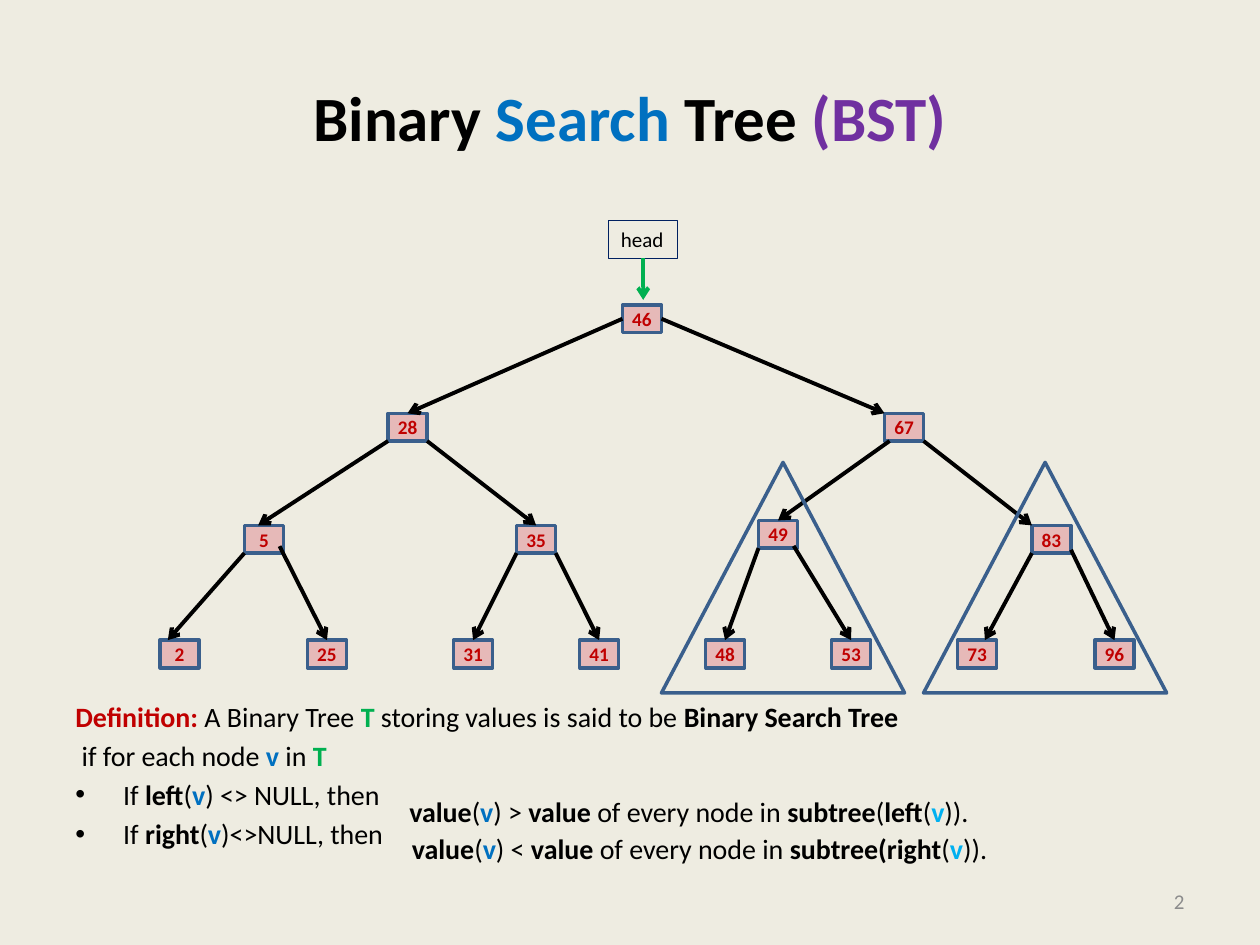
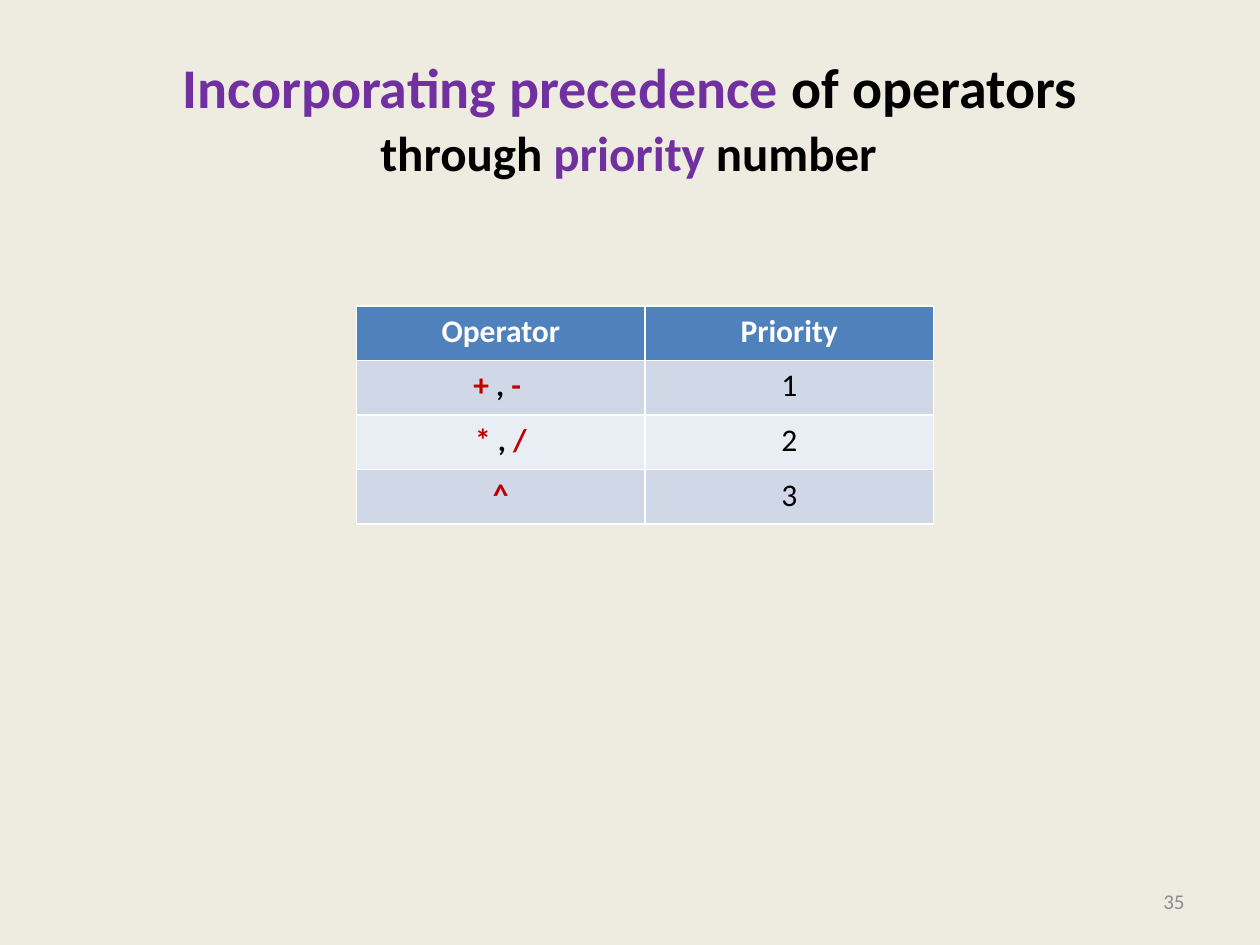
from dataclasses import dataclass

from lxml import etree
from pptx import Presentation
from pptx import util as u
from pptx.dml.color import RGBColor
from pptx.enum import shapes, text
from pptx.oxml.ns import qn


@dataclass(frozen=True)
class Theme:
    font: str = "Calibri"
    paper: str = "EEECE1"
    ink: str = "000000"
    white: str = "FFFFFF"
    red: str = "C00000"
    green: str = "00B050"
    blue: str = "0070C0"
    sky: str = "00B0F0"
    purple: str = "7030A0"
    navy: str = "002060"
    grey: str = "8C8C8C"
    node_fill: str = "E6B9B8"
    outline: str = "3A5F8C"
    header: str = "4F81BD"
    bands: tuple = ("D0D8E8", "E9EDF4")
    title: int = 36
    long_title: int = 32
    subtitle: int = 28
    table: int = 18
    body: int = 16
    small: int = 12
    node: int = 11


THEME = Theme()
COLUMNS, ROWS = 100, 75  # square grid cells, a tenth of an inch each
LAYOUT_TITLE_ONLY = 5
NODE_WIDTH, NODE_HEIGHT = 3.1, 2.2

# value: column and row of the node's top left corner
NODES = {
    46: (49.4, 24.2),
    28: (30.8, 32.8), 67: (70.2, 32.8),
    5: (19.4, 41.7), 35: (41, 41.7), 49: (60.2, 41.3), 83: (81.9, 41.7),
    2: (12.7, 50.8), 25: (24.4, 50.8), 31: (36, 50.8), 41: (46, 50.8),
    48: (56, 50.8), 53: (66, 50.8), 73: (76, 50.8), 96: (86.9, 50.8),
}
LEFT, RIGHT, MIDDLE = (0, 1), (1, 1), 0.5
# parent, child, start as shares of the parent's box, end as share of the child's top side
EDGES = [
    (46, 28, (0, 0.5), MIDDLE), (46, 67, (1, 0.5), 0),
    (28, 5, LEFT, 0.35), (28, 35, RIGHT, MIDDLE),
    (67, 49, (0.13, 1), MIDDLE), (67, 83, RIGHT, 0),
    (5, 2, LEFT, 0.2), (5, 25, (0.9, 0.75), MIDDLE),
    (35, 31, LEFT, MIDDLE), (35, 41, RIGHT, MIDDLE),
    (49, 48, LEFT, MIDDLE), (49, 53, (0.9, 0.92), MIDDLE),
    (83, 73, LEFT, 0.7), (83, 96, (1, 0.88), MIDDLE),
]


def cells(*counts):
    return [u.Inches(count / 10) for count in counts]


def rgb(colour):
    return RGBColor.from_string(colour)


def plain(words, colour=THEME.ink):
    return words, colour, False


def bold(words, colour=THEME.ink):
    return words, colour, True


def write(para, spans, size):
    for words, colour, heavy in spans:
        span = para.add_run()
        span.text = words
        span.font.name = THEME.font
        span.font.size = u.Pt(size)
        span.font.bold = heavy
        span.font.color.rgb = rgb(colour)


def add_page(deck, number, title_spans, size, drop=None):
    """Add a titled, numbered slide; drop hangs the title from the top of its box."""
    page = deck.slides.add_slide(deck.slide_layouts[LAYOUT_TITLE_ONLY])
    title = page.shapes.title
    title.left, title.top, title.width, title.height = cells(5, 3, 90, 12.5)
    frame = title.text_frame
    frame.auto_size = text.MSO_AUTO_SIZE.NONE
    frame.vertical_anchor = text.MSO_ANCHOR.MIDDLE
    if drop is not None:
        frame.vertical_anchor = text.MSO_ANCHOR.TOP
        frame.margin_top, = cells(drop)
    frame.paragraphs[0].alignment = text.PP_ALIGN.CENTER
    write(frame.paragraphs[0], title_spans, size)

    footer = add_text(page, (71.7, 69.5, 23.3, 4), [plain(str(number), THEME.grey)], THEME.small)
    footer.text_frame.vertical_anchor = text.MSO_ANCHOR.MIDDLE
    footer.text_frame.paragraphs[0].alignment = text.PP_ALIGN.RIGHT
    return page


def add_text(page, place, spans, size, wrap=True):
    box = page.shapes.add_textbox(*cells(*place))
    box.text_frame.word_wrap = wrap
    write(box.text_frame.paragraphs[0], spans, size)
    return box


def add_outlined(page, kind, place, colour, width, fill=None):
    shape = page.shapes.add_shape(kind, *cells(*place))
    shape.shadow.inherit = False
    shape.line.color.rgb = rgb(colour)
    shape.line.width = u.Pt(width)
    if fill:
        shape.fill.solid()
        shape.fill.fore_color.rgb = rgb(fill)
    else:
        shape.fill.background()
    return shape


def add_arrow(page, start, end, colour):
    """Draw an arrow between two (x, y) points given in EMU."""
    arrow = page.shapes.add_connector(shapes.MSO_CONNECTOR.STRAIGHT, *start, *end)
    arrow.line.color.rgb = rgb(colour)
    arrow.line.width = u.Pt(2.25)
    etree.SubElement(arrow.line._get_or_add_ln(), qn("a:tailEnd"), type="arrow")
    etree.SubElement(arrow._element.spPr, qn("a:effectLst"))
    return arrow


def add_node(page, value, column, row):
    box = add_outlined(page, shapes.MSO_SHAPE.RECTANGLE,
                       (column, row, NODE_WIDTH, NODE_HEIGHT),
                       THEME.outline, 2, THEME.node_fill)
    frame = box.text_frame
    frame.margin_left = frame.margin_right = frame.margin_top = frame.margin_bottom = 0
    frame.word_wrap = False
    frame.paragraphs[0].alignment = text.PP_ALIGN.CENTER
    write(frame.paragraphs[0], [bold(str(value), THEME.red)], THEME.node)
    return box


def point_on(box, across, down):
    return round(box.left + across * box.width), round(box.top + down * box.height)


def add_edge(page, parent, child, leave, land):
    arrow = add_arrow(page, point_on(parent, *leave), point_on(child, land, 0), THEME.ink)
    if leave[1] == 0.5:
        arrow.begin_connect(parent, 1 if leave[0] == 0 else 3)
    if land == MIDDLE:
        arrow.end_connect(child, 0)


def add_head(page):
    head = add_outlined(page, shapes.MSO_SHAPE.RECTANGLE, (48.3, 17.5, 5.5, 3), THEME.navy, 0.75)
    para = head.text_frame.paragraphs[0]
    para.alignment = text.PP_ALIGN.LEFT
    write(para, [plain("head")], THEME.small)
    start = point_on(head, 0.5, 1)
    arrow = add_arrow(page, start, (start[0], cells(23.8)[0]), THEME.green)
    arrow.begin_connect(head, 2)


def add_tree(page):
    boxes = {value: add_node(page, value, *place) for value, place in NODES.items()}
    for parent, child, leave, land in EDGES:
        add_edge(page, boxes[parent], boxes[child], leave, land)
    add_head(page)
    for column in (52.5, 73.3):
        add_outlined(page, shapes.MSO_SHAPE.ISOSCELES_TRIANGLE, (column, 36.7, 19.3, 18.3),
                     THEME.outline, 2)


def make_bullet(para):
    indent = u.Inches(0.38)
    properties = para._p.get_or_add_pPr()
    properties.set("marL", str(indent))
    properties.set("indent", str(-indent))
    etree.SubElement(properties, qn("a:buFont"), typeface="Arial")
    etree.SubElement(properties, qn("a:buChar"), char="•")


def add_definition(page):
    node, tree = bold("v", THEME.blue), bold("T", THEME.green)
    opening = [bold("Definition:", THEME.red), plain(" A Binary Tree "), tree,
               plain(" storing values is said to be "), bold("Binary Search Tree")]
    condition = [plain(" if for each node "), node, plain(" in "), tree]
    cases = [
        [plain("If "), bold("left"), plain("("), node, plain(") <> NULL, then")],
        [plain("If "), bold("right"), plain("("), node, plain(")<>NULL, then")],
    ]
    frame = add_text(page, (5, 55, 90, 13), opening, THEME.body).text_frame
    for spans in [condition, *cases]:
        para = frame.add_paragraph()
        para.space_before = u.Pt(0.2 * THEME.body)
        if spans in cases:
            make_bullet(para)
        write(para, spans, THEME.body)

    rules = [
        ((31.5, 62.6, 47, 3.7), ") > ", [bold("subtree"), plain("("), bold("left")]),
        ((31.7, 65.5, 48.3, 3.7), ") < ", [bold("subtree(right")]),
    ]
    for place, comparison, subtree in rules:
        spans = [bold("value"), plain("("), node, plain(comparison), bold("value "),
                 plain("of every node in "), *subtree, plain("("),
                 bold("v", THEME.sky), plain(")).")]
        add_text(page, place, spans, THEME.body, wrap=False)


def add_priority_table(page):
    rows = [
        ([bold("Operator", THEME.white)], [bold("Priority", THEME.white)]),
        ([bold("+ ", THEME.red), bold(","), bold(" - ", THEME.red)], [plain("1")]),
        ([bold("* ", THEME.red), bold(","), bold(" /", THEME.red)], [plain("2")]),
        ([bold("^", THEME.red)], [plain("3")]),
    ]
    place = cells(28.3, 24.3, 45.8, 4.33 * len(rows))
    table = page.shapes.add_table(len(rows), 2, *place).table
    for index, row in enumerate(rows):
        fill = THEME.bands[(index - 1) % 2] if index else THEME.header
        for cell, spans in zip(table.rows[index].cells, row):
            cell.fill.solid()
            cell.fill.fore_color.rgb = rgb(fill)
            para = cell.text_frame.paragraphs[0]
            para.alignment = text.PP_ALIGN.CENTER
            write(para, spans, THEME.table)


def main():
    deck = Presentation()
    deck.slide_width, deck.slide_height = cells(COLUMNS, ROWS)
    background = deck.slide_master.background.fill
    background.solid()
    background.fore_color.rgb = rgb(THEME.paper)

    page = add_page(deck, 2, [bold("Binary "), bold("Search", THEME.blue), bold(" Tree "),
                              bold("(BST)", THEME.purple)], THEME.title)
    add_tree(page)
    add_definition(page)

    page = add_page(deck, 35, [bold("Incorporating precedence", THEME.purple),
                               bold(" of operators")], THEME.long_title, drop=1.2)
    add_priority_table(page)
    add_text(page, (29.2, 9.2, 41.9, 5.7),
             [bold("through "), bold("priority", THEME.purple), bold(" number")],
             THEME.subtitle, wrap=False)

    deck.save("out.pptx")


if __name__ == "__main__":
    main()
